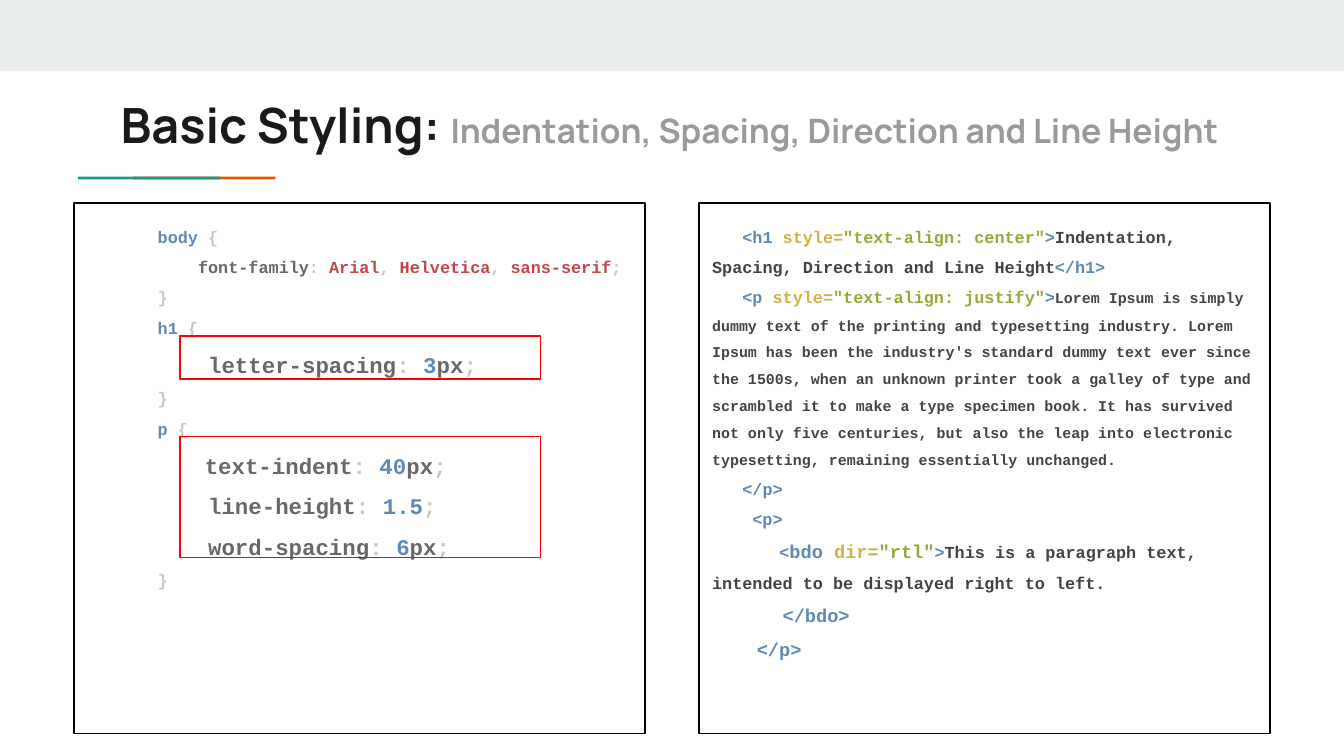
"""Build a slide on basic CSS text styling beside the HTML it styles."""
import pptx
import pptx.util
import pptx.dml.color
import pptx.enum.shapes
import pptx.enum.text

Pt = pptx.util.Pt
theme = {
    "band": "E9EDEE", "orange": "EB5600", "teal": "1A9988",
    "title": "1A1A1A", "muted": "9A9B99", "edge": "000000", "mark": "FF0000",
    "punct": "C5C8C6", "tag": "6089B4", "prop": "676867", "value": "C7444A",
    "attr": "D0B344", "string": "9AA83A", "body": "434343",
    "head": "Manrope", "code": "Courier New",
    "big": 26, "sub": 18, "large": 12, "mid": 10, "base": 9, "small": 8,
}
deck = pptx.Presentation()
deck.slide_width = pptx.util.Inches(10)
deck.slide_height = pptx.util.Inches(5.625)
slide = deck.slides.add_slide(deck.slide_layouts[6])
cell = deck.slide_width / 100
glyph = 5.4


def add_box(left, top, width, height, fill=None, line=None):
    spot = [round(n * cell) for n in (left, top, width, height)]
    box = slide.shapes.add_shape(pptx.enum.shapes.MSO_SHAPE.RECTANGLE, *spot)
    box.shadow.inherit = False
    if fill:
        box.fill.solid()
        box.fill.fore_color.rgb = pptx.dml.color.RGBColor.from_string(theme[fill])
    else:
        box.fill.background()
    if line:
        box.line.color.rgb = pptx.dml.color.RGBColor.from_string(theme[line])
        box.line.width = Pt(0.75)
    else:
        box.line.fill.background()
    return box


def add_text(box, lines, font, space):
    frame = box.text_frame
    frame.word_wrap = True
    frame.vertical_anchor = pptx.enum.text.MSO_ANCHOR.TOP
    frame.margin_left = frame.margin_right = round(cell)
    frame.margin_top = frame.margin_bottom = round(cell)
    for num, (indent, size, runs) in enumerate(lines):
        para = frame.add_paragraph() if num else frame.paragraphs[0]
        para.alignment = pptx.enum.text.PP_ALIGN.LEFT
        para.line_spacing = space
        para.font.name = theme[font]
        para.font.size = Pt(theme[size])
        para.font.bold = True
        props = para._p.get_or_add_pPr()
        props.set("marL", "0")
        props.set("indent", str(Pt(indent * glyph)))
        for color, text, *other in runs:
            run = para.add_run()
            run.text = text
            run.font.color.rgb = pptx.dml.color.RGBColor.from_string(theme[color])
            if other:
                run.font.size = Pt(theme[other[0]])


add_box(0, 0, 100, 5.3, fill="band")
for left, color in ((9.9, "orange"), (5.8, "teal")):
    add_box(left, 13.15, 10.6, 0.2, fill=color)

title = [("title", "Basic Styling: "),
         ("muted", "Indentation, Spacing, Direction and Line Height", "sub")]
add_text(add_box(8, 6.1, 84.1, 5.9), [(0, "big", title)], "head", 1)

fonts = [("prop", "font-family"), ("punct", ": "), ("value", "Arial"),
         ("punct", ", "), ("value", "Helvetica"), ("punct", ", "),
         ("value", "sans-serif"), ("punct", ";")]
rules = [
    ("body", []),
    ("h1", [(12, "letter-spacing", "3", "px")]),
    ("p", [(11.67, "text-indent", "40", "px"), (12, "line-height", "1.5", ""),
           (12, "word-spacing", "6", "px")]),
]
style = []
for name, props in rules:
    style.append((7, "base", [("tag", name), ("punct", " {")]))
    if name == "body":
        style.append((11, "base", fonts))
    for indent, prop, value, unit in props:
        runs = [("prop", prop), ("punct", ": "), ("tag", value),
                ("prop", unit), ("punct", ";")]
        style.append((indent, "large", [run for run in runs if run[1]]))
    style.append((7, "base", [("punct", "}")]))

lorem = (
    "Lorem Ipsum is simply dummy text of the printing and typesetting industry. "
    "Lorem Ipsum has been the industry's standard dummy text ever since the 1500s, "
    "when an unknown printer took a galley of type and scrambled it to make a type "
    "specimen book. It has survived not only five centuries, but also the leap into "
    "electronic typesetting, remaining essentially unchanged."
)
markup = [
    (3, "base", [("tag", "<h1"), ("attr", " style="),
                 ("string", '"text-align: center"'), ("tag", ">"),
                 ("body", "Indentation, Spacing, Direction and Line Height"),
                 ("tag", "</h1>")]),
    (3, "base", [("tag", "<p"), ("attr", " style="),
                 ("string", '"text-align: justify"'), ("tag", ">"),
                 ("body", lorem, "small")]),
    (3, "base", [("tag", "</p>")]),
    (4, "base", [("tag", "<p>")]),
    (6.67, "base", [("tag", "<"), ("tag", "bdo", "mid"), ("attr", " dir=", "mid"),
                    ("string", '"rtl"', "mid"), ("tag", ">"),
                    ("body", "This is a paragraph text, intended to be "
                             "displayed right to left.")]),
    (7, "mid", [("tag", "</bdo>")]),
    (4.44, "mid", [("tag", "</p>")]),
]
for left, lines in ((5.5, style), (52, markup)):
    add_text(add_box(left, 15.1, 42.5, 39.5, line="edge"), lines, "code", 1.5)

for top, height in ((25, 3.2), (32.5, 9)):
    add_box(13.4, top, 26.8, height, line="mark")

deck.save("out.pptx")
